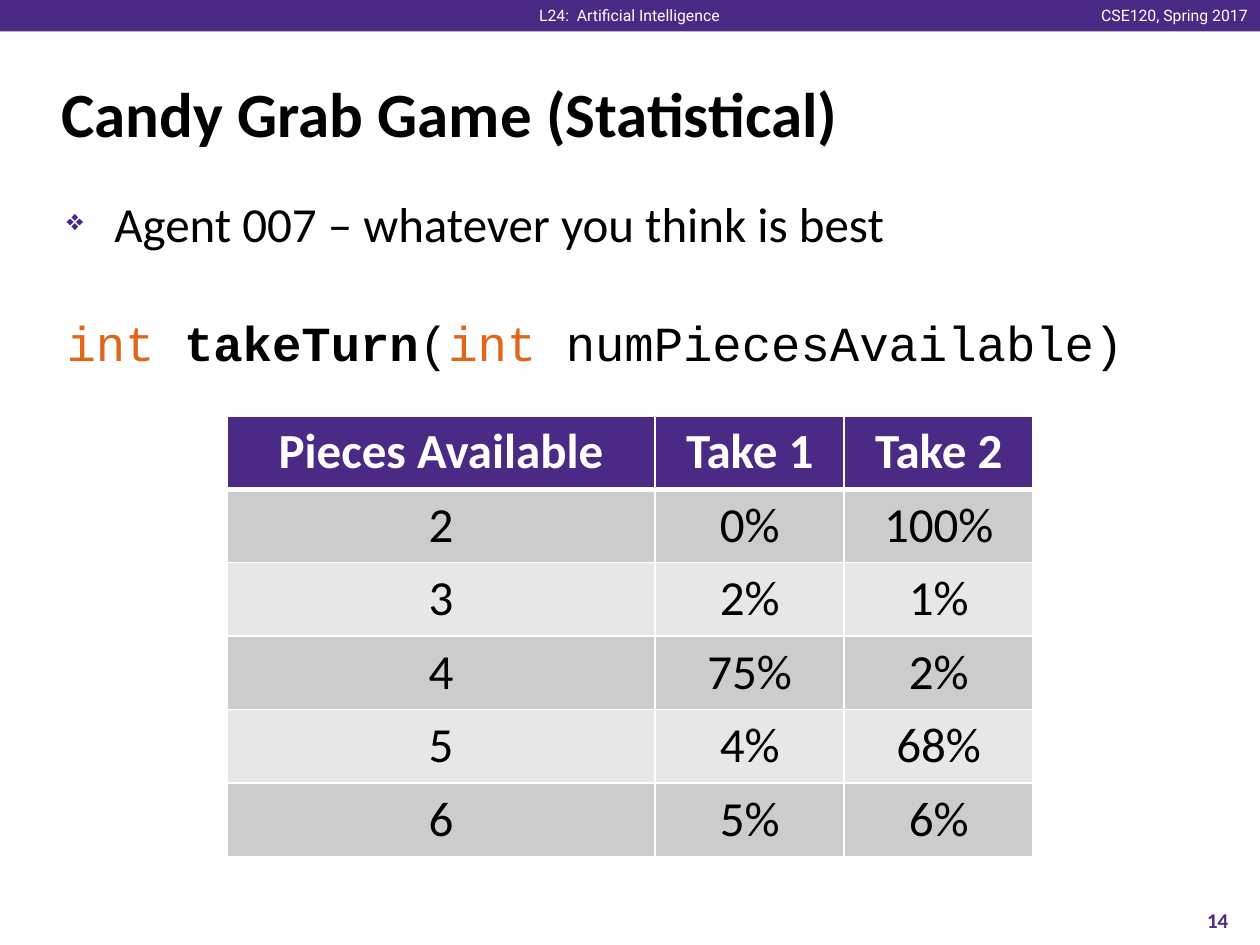
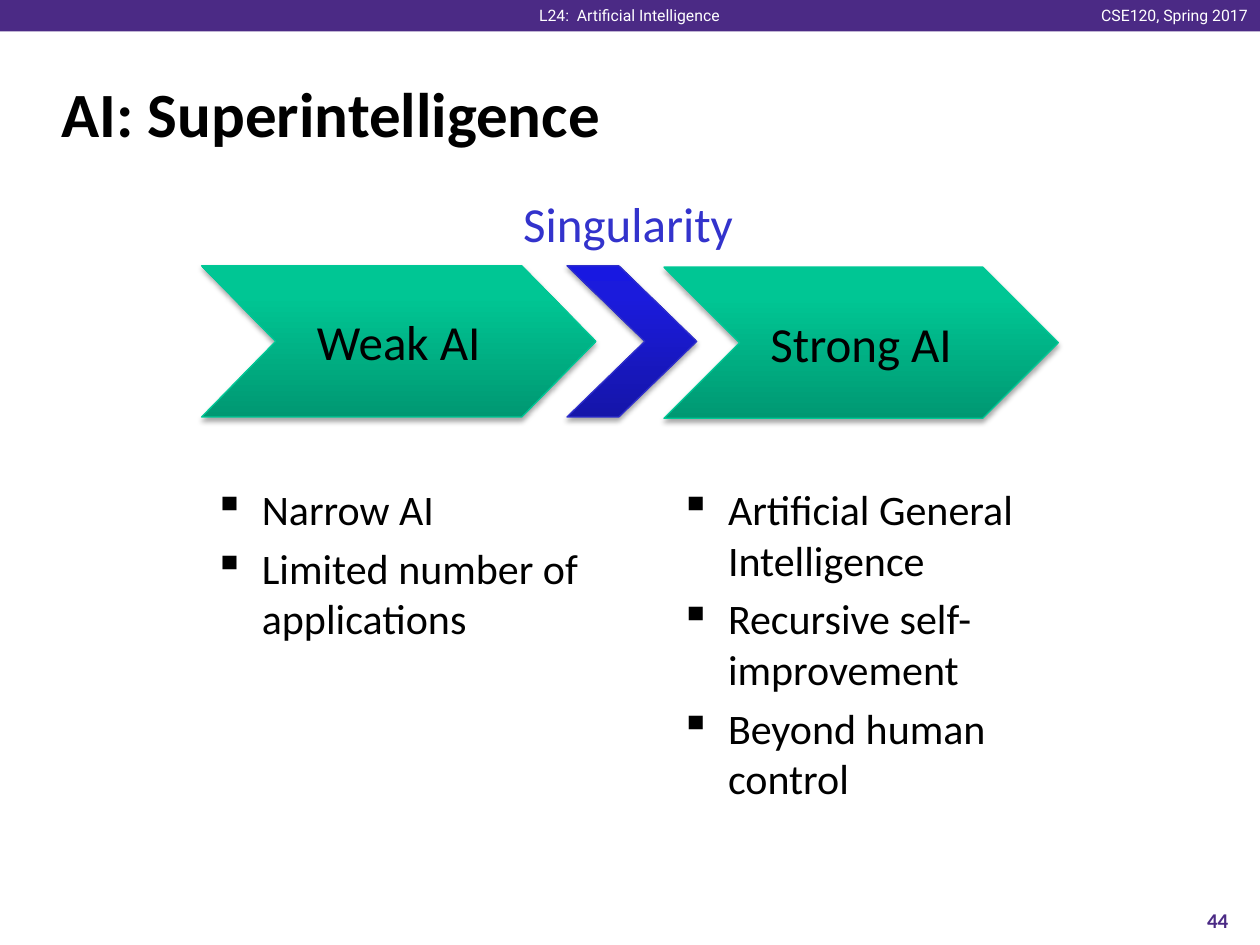
import copy

import lxml.etree
import pptx
import pptx.dml.color
import pptx.enum.shapes
import pptx.enum.text
import pptx.oxml
import pptx.oxml.ns
import pptx.util

Inches, Pt = pptx.util.Inches, pptx.util.Pt
ALIGN = pptx.enum.text.PP_ALIGN
MIDDLE = pptx.enum.text.MSO_ANCHOR.MIDDLE
SHAPE = pptx.enum.shapes.MSO_SHAPE
qn = pptx.oxml.ns.qn

PURPLE, WHITE, BLACK = "4B2A85", "FFFFFF", "000000"
ORANGE, VIOLET = "E2661A", "3333CC"
BODY, CODE, HEADER = "Calibri", "Courier New", "Roboto"


def rgb(value):
    return pptx.dml.color.RGBColor.from_string(value)


def write(frame, lines, size, color=BLACK, font=BODY, bold=False, align=ALIGN.LEFT,
          bullet=None, bullet_color=BLACK, bullet_percent=100):
    """Fill a text frame with equally styled paragraphs, bulleted if asked."""
    frame.word_wrap = True
    for i, line in enumerate(lines):
        paragraph = frame.paragraphs[0] if i == 0 else frame.add_paragraph()
        paragraph.text = line
        paragraph.alignment = align
        if i:
            paragraph.space_before = Pt(size * 0.2)
        if bullet:
            props = paragraph._p.get_or_add_pPr()
            props.set("marL", str(Inches(0.38)))
            props.set("indent", str(-Inches(0.38)))
            clr = lxml.etree.SubElement(props, qn("a:buClr"))
            lxml.etree.SubElement(clr, qn("a:srgbClr"), val=bullet_color)
            lxml.etree.SubElement(props, qn("a:buSzPct"), val=str(bullet_percent * 1000))
            lxml.etree.SubElement(props, qn("a:buChar"), char=bullet)
        paragraph.font.name = font
        paragraph.font.size = Pt(size)
        paragraph.font.bold = bold
        paragraph.font.color.rgb = rgb(color)


prs = pptx.Presentation()
prs.slide_width, prs.slide_height = Inches(10), Inches(7.5)

# Shared frame: band, header texts, title and slide number
slides = []
for title, number in [("Candy Grab Game (Statistical)", "14"),
                      ("AI: Superintelligence", "44")]:
    slide = prs.slides.add_slide(prs.slide_layouts[6])
    slides.append(slide)
    band = slide.shapes.add_shape(SHAPE.RECTANGLE, 0, 0, prs.slide_width, Inches(0.25))
    band.shadow.inherit = False
    band.fill.solid()
    band.fill.fore_color.rgb = rgb(PURPLE)
    band.line.fill.background()

    for text, left, width, align in [
            ("CSE120, Spring 2017", 8.6, 1.4, ALIGN.RIGHT),
            ("L24:  Artificial Intelligence", 4.16, 1.67, ALIGN.CENTER)]:
        header = slide.shapes.add_textbox(Inches(left), 0, Inches(width), Inches(0.25))
        write(header.text_frame, [text], 9, WHITE, HEADER, align=align)
        header.text_frame.word_wrap = False

    heading = slide.shapes.add_textbox(Inches(0.39), Inches(0.48), Inches(9.19), Inches(0.83))
    heading.text_frame.vertical_anchor = MIDDLE
    write(heading.text_frame, [title], 36, bold=True)

    page = slide.shapes.add_textbox(Inches(9.33), Inches(7.1), Inches(0.67), Inches(0.4))
    page.text_frame.vertical_anchor = MIDDLE
    write(page.text_frame, [number], 12, PURPLE, bold=True, align=ALIGN.CENTER)

candy, superintelligence = slides

# Candy Grab: agent and function signature
agent = candy.shapes.add_textbox(Inches(0.43), Inches(1.49), Inches(9.15), Inches(5.44))
write(agent.text_frame, ["Agent 007 – whatever you think is best"], 28,
      bullet="❖", bullet_color=PURPLE, bullet_percent=60)
signature = agent.text_frame.add_paragraph()
signature.space_before = Pt(34)
signature.font.name = CODE
signature.font.size = Pt(28)
for text, color, bold in [("int ", ORANGE, False), ("takeTurn", BLACK, True),
                          ("(", BLACK, False), ("int ", ORANGE, False),
                          ("numPiecesAvailable)", BLACK, False)]:
    run = signature.add_run()
    run.text = text
    run.font.bold = bold
    run.font.color.rgb = rgb(color)

# Candy Grab: table of chances
chances = [("Pieces Available", "Take 1", "Take 2"),
           ("2", "0%", "100%"),
           ("3", "2%", "1%"),
           ("4", "75%", "2%"),
           ("5", "4%", "68%"),
           ("6", "5%", "6%")]
table = candy.shapes.add_table(len(chances), 3, Inches(1.8), Inches(3.3),
                               Inches(6.4), Inches(3.5)).table
for column, width in zip(table.columns, (3.4, 1.5, 1.5)):
    column.width = Inches(width)
for r, row in enumerate(chances):
    is_head = r == 0
    for c, value in enumerate(row):
        cell = table.cell(r, c)
        write(cell.text_frame, [value], 28, WHITE if is_head else BLACK,
              bold=is_head, align=ALIGN.CENTER)
        # The line below the head row is thicker
        thick = {"lnB": 0, "lnT": 1}
        for side in ("lnL", "lnR", "lnT", "lnB"):
            points = 3 if thick.get(side) == r else 1
            border = lxml.etree.SubElement(cell._tc.get_or_add_tcPr(), qn("a:" + side),
                                           w=str(Pt(points)))
            fill = lxml.etree.SubElement(border, qn("a:solidFill"))
            lxml.etree.SubElement(fill, qn("a:srgbClr"), val=WHITE)
        cell.fill.solid()
        cell.fill.fore_color.rgb = rgb(PURPLE if is_head else "CCCCCC" if r % 2 else "E7E7E7")

# Superintelligence: chevrons from weak to strong AI
GREENS, BLUES = ("009872", "00C694", "00C795"), ("1515A9", "1B1BDC", "1818E1")
for label, left, top, width, notch, shades, edge in [
        ("Weak AI", 1.6, 2.11, 3.13, 0.49, GREENS, "00C896"),
        ("Strong AI", 5.27, 2.12, 3.13, 0.5, GREENS, "00C896"),
        ("", 4.5, 2.11, 1.03, 0.6, BLUES, "2E2ECB")]:
    stage = superintelligence.shapes.add_shape(
        SHAPE.CHEVRON, Inches(left), Inches(top), Inches(width), Inches(1.2))
    stage.adjustments[0] = notch
    stage.line.color.rgb = rgb(edge)
    stage.line.width = Pt(0.75)
    stage.fill.gradient()
    stage.fill.gradient_angle = 90
    stops = stage._element.spPr.find(".//" + qn("a:gsLst"))
    stops.append(copy.deepcopy(stops[-1]))
    for stop, shade, position in zip(stage.fill.gradient_stops, shades, (0, 0.8, 1)):
        stop.color.rgb = rgb(shade)
        stop.position = position
    stage.shadow.inherit = False
    shadow = lxml.etree.SubElement(
        stage._element.spPr.find(qn("a:effectLst")), qn("a:outerShdw"),
        blurRad=str(Pt(3.1)), dist=str(Pt(1.8)), dir="5400000", rotWithShape="0")
    shadow_color = lxml.etree.SubElement(shadow, qn("a:srgbClr"), val=BLACK)
    lxml.etree.SubElement(shadow_color, qn("a:alpha"), val="35000")
    if label:
        stage.text_frame.vertical_anchor = MIDDLE
        write(stage.text_frame, [label], 28, align=ALIGN.CENTER)

singularity = superintelligence.shapes.add_textbox(
    Inches(2.4), Inches(1.49), Inches(5.17), Inches(0.6))
write(singularity.text_frame, ["Singularity"], 28, VIOLET, align=ALIGN.CENTER)

# Superintelligence: traits under each stage
for left, height, traits in [
        (1.6, 1.9, ["Narrow AI", "Limited number of applications"]),
        (5.3, 2.8, ["Artificial General Intelligence", "Recursive self-improvement",
                    "Beyond human control"])]:
    column = superintelligence.shapes.add_textbox(
        Inches(left), Inches(3.79), Inches(3.1), Inches(height))
    write(column.text_frame, traits, 24, bullet="▪")

prs.save("out.pptx")
